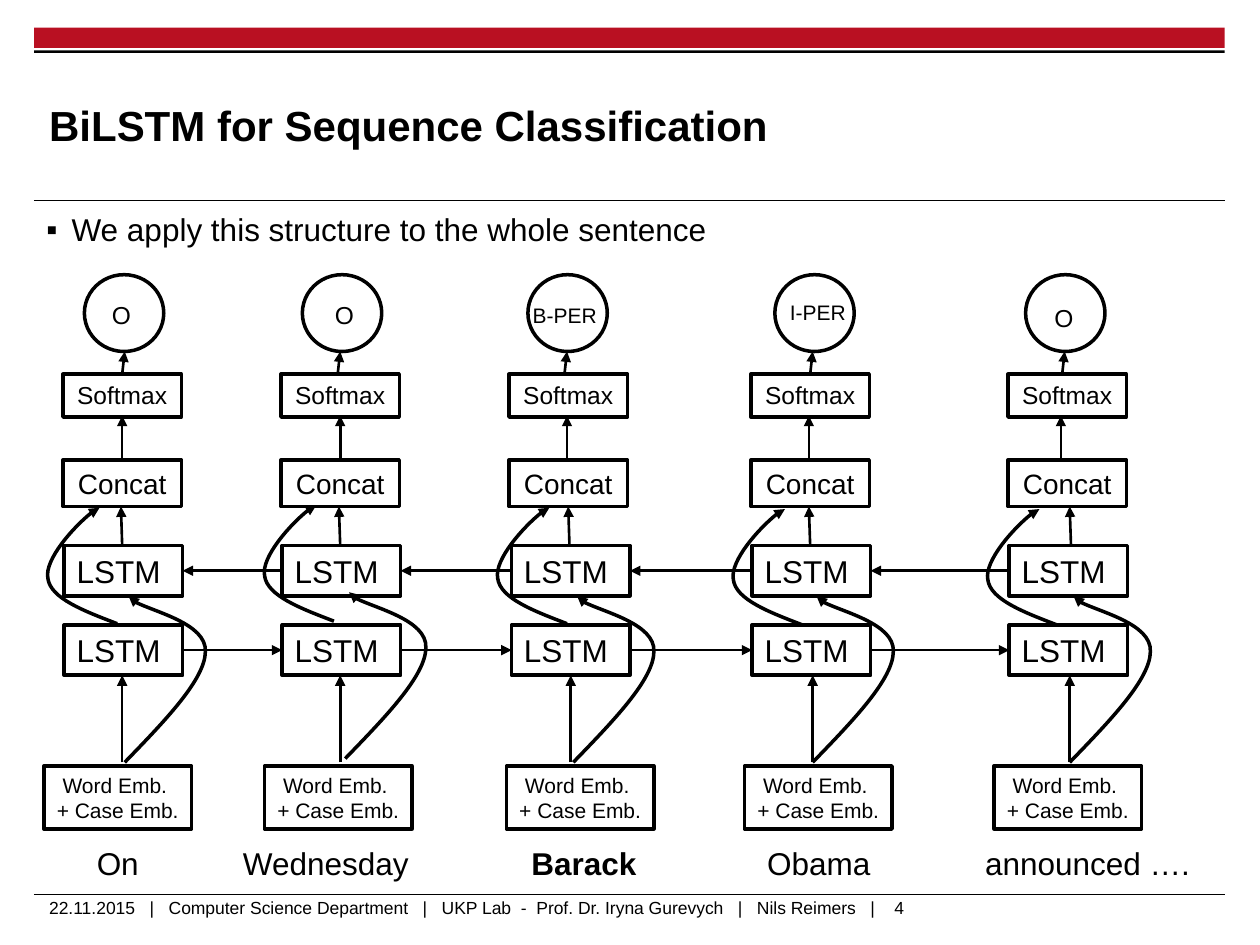
from collections import namedtuple

from lxml import etree
from pptx import Presentation
from pptx.dml.color import RGBColor
from pptx.enum import shapes, text
from pptx.oxml.ns import qn
from pptx.util import Inches, Pt

RED = RGBColor(0xB9, 0x10, 0x22)
BLACK = RGBColor(0, 0, 0)
WHITE = RGBColor(255, 255, 255)
RECT = shapes.MSO_SHAPE.RECTANGLE
OVAL = shapes.MSO_SHAPE.OVAL
LEFT, MID = text.PP_ALIGN.LEFT, text.PP_ALIGN.CENTER

Col = namedtuple("Col", "cell top emb ring up skip skip_y back back_y cat soft out tag tag_x tag_y size")
COLS = [
    Col(0.51, 0.50, 0.35, 0.67, 0.97, 0.99, 6.05, 0.93, 4.95, 0.97, 0.97, 0.97, "O", 0.79, 2.33, 14),
    Col(2.24, 2.23, 2.10, 2.40, 2.70, 2.74, 6.02, 2.65, 4.93, 2.70, 2.70, 2.68, "O", 2.56, 2.33, 14),
    Col(4.06, 4.04, 4.02, 4.19, 4.53, 4.55, 6.05, 4.50, 4.95, 4.52, 4.50, 4.48, "B-PER", 4.13, 2.35, 12),
    Col(5.97, 5.96, 5.91, 6.15, 6.45, 6.45, 6.05, 6.37, 4.96, 6.43, 6.42, 6.43, "I-PER", 6.17, 2.33, 12),
    Col(8.01, 8.00, 7.89, 8.14, 8.49, 8.49, 6.05, 8.39, 4.96, 8.50, 8.42, 8.43, "O", 8.27, 2.36, 14),
]
CELL_W = 0.94
SKIP = [(0, 0), (0.32, -0.33), (0.64, -0.66), (0.64, -0.88),
        (0.65, -1.10), (0, -1.26), (0.03, -1.32)]
BACK = [(0, 0), (-0.26, -0.10), (-0.53, -0.20), (-0.55, -0.36),
        (-0.58, -0.51), (-0.24, -0.89), (-0.14, -0.92)]


def add_run(para, words, size, bold=False):
    run = para.add_run()
    run.text = words
    font = run.font
    font.name, font.size, font.bold = "Arial", Pt(size), bold
    font.color.rgb = BLACK


def set_pad(frame, pad):
    frame.margin_left = frame.margin_right = Inches(pad)
    frame.margin_top = frame.margin_bottom = Inches(pad / 2)


def add_text(slide, x, y, w, h, words, size, pad=0.1):
    frame = slide.shapes.add_textbox(Inches(x), Inches(y), Inches(w), Inches(h)).text_frame
    frame.word_wrap = True
    set_pad(frame, pad)
    para = frame.paragraphs[0]
    if words:
        add_run(para, words, size)
    return para


def add_shape(slide, kind, x, y, w, h, fill=None, line=2):
    shape = slide.shapes.add_shape(kind, Inches(x), Inches(y), Inches(w), Inches(h))
    shape.shadow.inherit = False
    if fill is None:
        shape.fill.background()
    else:
        shape.fill.solid()
        shape.fill.fore_color.rgb = fill
    if line:
        shape.line.color.rgb = BLACK
        shape.line.width = Pt(line)
    else:
        shape.line.fill.background()
    return shape


def add_box(slide, x, y, w, h, lines, size, align=MID):
    frame = add_shape(slide, RECT, x, y, w, h, WHITE).text_frame
    frame.word_wrap = align == LEFT
    frame.vertical_anchor = text.MSO_ANCHOR.TOP
    set_pad(frame, 0.1)
    for i, words in enumerate(lines):
        para = frame.add_paragraph() if i else frame.paragraphs[0]
        para.alignment = align
        add_run(para, words, size)


def set_line(shape, width, tip):
    shape.line.color.rgb = BLACK
    shape.line.width = Pt(width)
    if tip:
        etree.SubElement(shape.line._get_or_add_ln(), qn("a:tailEnd"), type="triangle")


def add_line(slide, x1, y1, x2, y2, width=1.5, tip=True):
    line = slide.shapes.add_connector(
        shapes.MSO_CONNECTOR.STRAIGHT, Inches(x1), Inches(y1), Inches(x2), Inches(y2))
    set_line(line, width, tip)
    etree.SubElement(line._element.spPr, qn("a:effectLst"))


def add_curve(slide, x, y, steps):
    points = [(Inches(x + dx), Inches(y + dy)) for dx, dy in steps]
    draft = slide.shapes.build_freeform(*points[0])
    draft.add_line_segments(points[1:], close=False)
    curve = draft.convert_to_shape()
    curve.shadow.inherit = False
    curve.fill.background()
    set_line(curve, 2, True)
    parts = list(curve._element.iter(qn("a:lnTo")))
    for i in range(0, len(parts), 3):
        bend = etree.Element(qn("a:cubicBezTo"))
        parts[i].addprevious(bend)
        for part in parts[i:i + 3]:
            bend.append(part[0])
            part.getparent().remove(part)


def add_frame(slide):
    add_shape(slide, RECT, 0.27, 0.22, 9.45, 0.16, RED, 0)
    add_shape(slide, RECT, 0.27, 0.4, 9.45, 0.02, BLACK, 0)
    for y in (1.59, 7.1):
        add_line(slide, 0.27, y, 9.72, y, 0.6, False)
    add_text(slide, 0.39, 7.12, 8.7, 0.25,
             "22.11.2015   |   Computer Science Department   |   "
             "UKP Lab  -  Prof. Dr. Iryna Gurevych   |   Nils Reimers   | ", 10, pad=0)
    add_text(slide, 7, 7.07, 0.48, 0.27, "4", 10)


def add_title(slide):
    title = slide.shapes.title
    title.left, title.top = Inches(0.39), Inches(0.53)
    title.width, title.height = Inches(7.52), Inches(0.92)
    frame = title.text_frame
    frame.vertical_anchor = text.MSO_ANCHOR.MIDDLE
    set_pad(frame, 0)
    frame.paragraphs[0].alignment = LEFT
    add_run(frame.paragraphs[0], "BiLSTM for Sequence Classification", 24, True)


def add_bullet(slide):
    para = add_text(slide, 0.27, 1.62, 9.45, 0.5,
                    "We apply this structure to the whole sentence", 18)
    para.space_before = Pt(3.6)
    props = para._p.get_or_add_pPr()
    props.set("marL", str(Inches(0.2)))
    props.set("indent", str(-Inches(0.2)))
    etree.SubElement(props, qn("a:buFont"), typeface="Arial")
    etree.SubElement(props, qn("a:buChar"), char="▪")


def add_words(slide):
    para = add_text(slide, 0.67, 6.65, 9.3, 0.4, "", 18)
    stops = etree.SubElement(para._p.get_or_add_pPr(), qn("a:tabLst"))
    for stop in (1.16, 3.45, 5.32, 7.05):
        etree.SubElement(stops, qn("a:tab"), pos=str(Inches(stop)), algn="l")
    add_run(para, "On\tWednesday\t", 18)
    add_run(para, "Barack", 18, True)
    add_run(para, "\tObama\tannounced ….", 18)


def add_nodes(slide, col):
    for y in (4.96, 4.33):
        add_box(slide, col.cell, y, CELL_W, 0.4, ["LSTM"], 18, LEFT)
    add_box(slide, col.top, 3.65, CELL_W, 0.37, ["Concat"], 16)
    add_box(slide, col.top, 2.97, CELL_W, 0.34, ["Softmax"], 14)
    add_box(slide, col.emb, 6.08, 1.17, 0.5, ["Word Emb. ", "+ Case Emb."], 12)
    add_shape(slide, OVAL, col.ring, 2.18, 0.63, 0.61)
    width = 0.4 if col.tag == "O" else 0.8
    add_text(slide, col.tag_x, col.tag_y, width, 0.3, col.tag, col.size)


def add_flow(slide, col):
    add_line(slide, col.up, 6.05, col.up, 5.36)
    add_line(slide, col.cat, 4.33, col.cat - 0.01, 4.02)
    add_line(slide, col.soft, 3.65, col.soft, 3.3)
    add_line(slide, col.out, 2.97, col.out + 0.02, 2.79)
    add_curve(slide, col.skip, col.skip_y, SKIP)
    add_curve(slide, col.back, col.back_y, BACK)


def main():
    deck = Presentation()
    deck.slide_width, deck.slide_height = Inches(10), Inches(7.5)
    slide = deck.slides.add_slide(deck.slide_layouts[5])
    add_frame(slide)
    add_title(slide)
    add_bullet(slide)
    add_words(slide)
    for col in COLS:
        add_nodes(slide, col)
    for col in COLS:
        add_flow(slide, col)
    for here, there in zip(COLS, COLS[1:]):
        edge = here.cell + CELL_W
        add_line(slide, edge, 5.16, there.cell, 5.16)
        add_line(slide, there.cell, 4.53, edge, 4.53)
    deck.save("out.pptx")


main()
